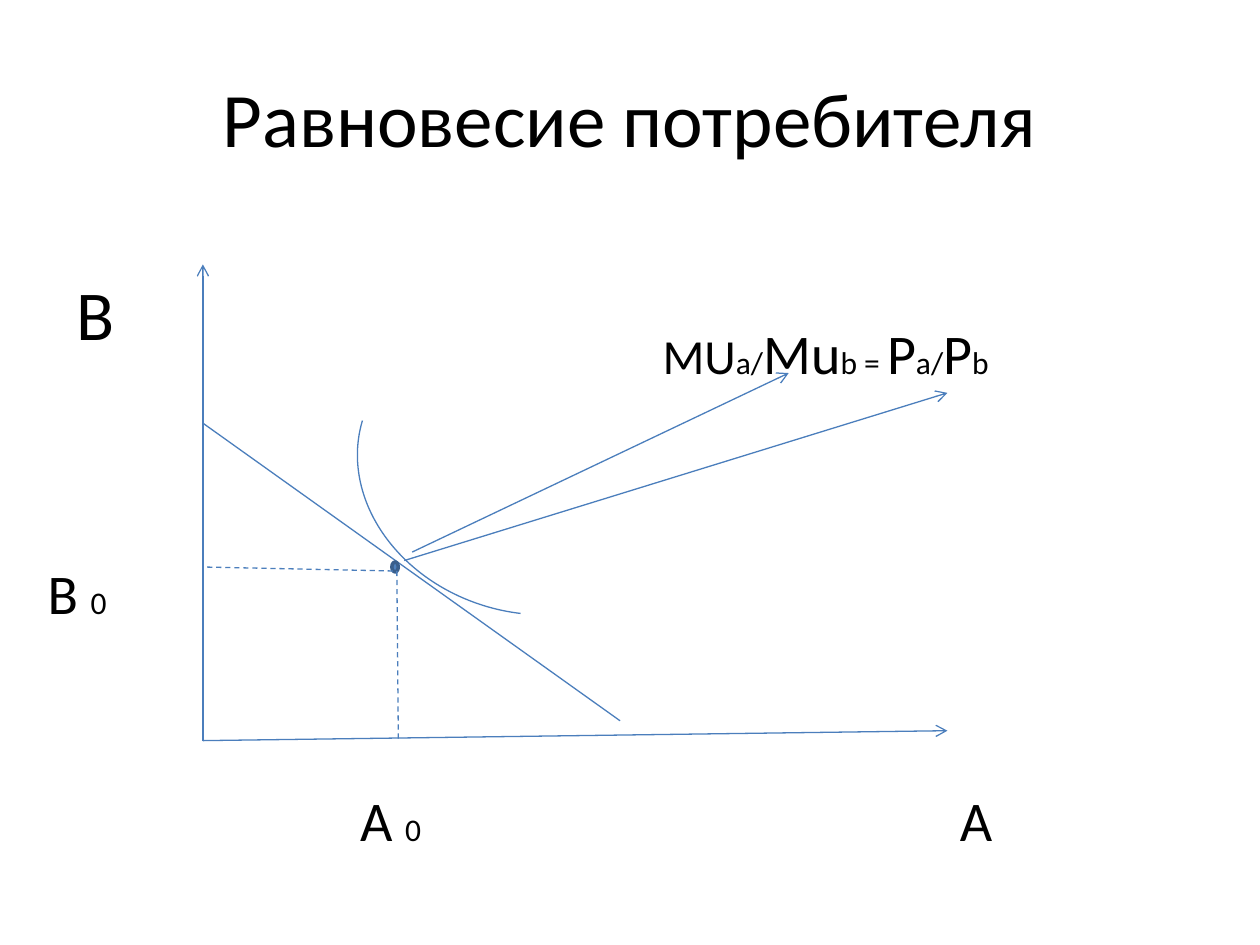
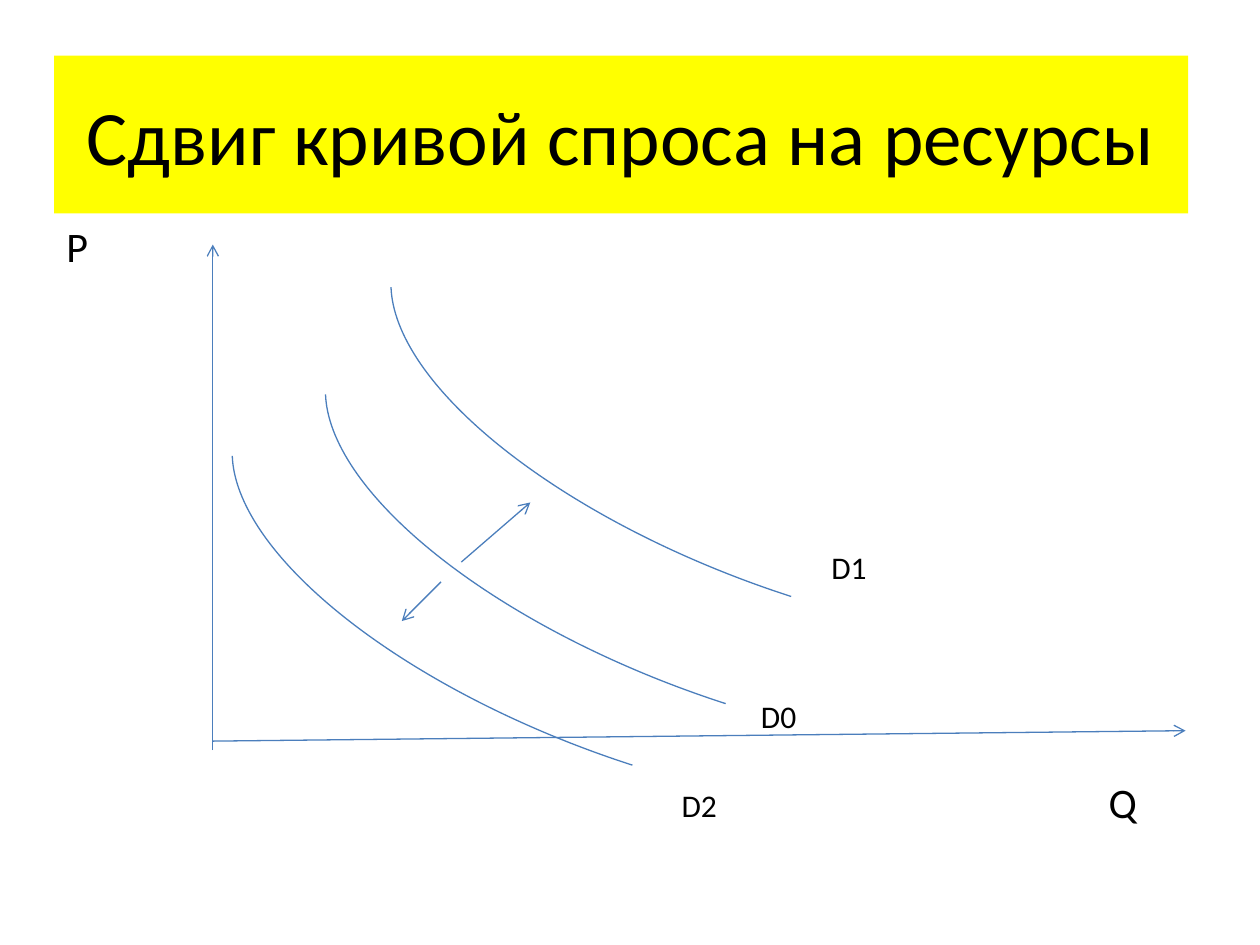
from lxml.etree import SubElement
from pptx import Presentation
from pptx.dml.color import RGBColor
from pptx.enum.dml import MSO_LINE
from pptx.enum.shapes import MSO_CONNECTOR, MSO_SHAPE
from pptx.enum.text import MSO_ANCHOR, MSO_AUTO_SIZE, PP_ALIGN
from pptx.oxml.ns import qn
from pptx.util import Cm, Pt

BLACK = RGBColor(0x00, 0x00, 0x00)
BLUE = RGBColor(0x4B, 0x7E, 0xBC)
FILL = RGBColor(0x4F, 0x81, 0xBD)
EDGE = RGBColor(0x3A, 0x5F, 0x8C)
YELLOW = RGBColor(0xFF, 0xFF, 0x00)
FONT = "Calibri"
THIN = Pt(0.75)


def style(font, size):
    font.name, font.size, font.color.rgb = FONT, Pt(size), BLACK


# Title slide part shared by both slides
def start(deck, text, left, top, band=None):
    slide = deck.slides.add_slide(deck.slide_layouts[5])
    title = slide.shapes.title
    title.left, title.top = Cm(left), Cm(top)
    title.width, title.height = Cm(22.86), Cm(3.18)
    if band is not None:
        title.fill.solid()
        title.fill.fore_color.rgb = band
    frame = title.text_frame
    frame.text = text
    frame.vertical_anchor = MSO_ANCHOR.MIDDLE
    par = frame.paragraphs[0]
    par.alignment = PP_ALIGN.CENTER
    style(par.font, 44)
    return slide


class Graph:
    """Draws in centimetres from the top of the vertical axis."""

    def __init__(self, slide, left, top):
        self.shapes = slide.shapes
        self.left, self.top = left, top

    def at(self, x, y):
        return Cm(self.left + x), Cm(self.top + y)

    def line(self, begin, end, arrow=False, dash=False):
        line = self.shapes.add_connector(
            MSO_CONNECTOR.STRAIGHT, *self.at(*begin), *self.at(*end))
        line.line.color.rgb = BLUE
        line.line.width = THIN
        if dash:
            line.line.dash_style = MSO_LINE.DASH
        props = line.element.spPr
        if arrow:
            SubElement(props.find(qn("a:ln")), qn("a:tailEnd"), type="arrow")
        SubElement(props, qn("a:effectLst"))

    def shape(self, kind, x, y, width, height, color=BLUE, weight=THIN):
        shape = self.shapes.add_shape(
            kind, *self.at(x, y), Cm(width), Cm(height))
        shape.shadow.inherit = False
        shape.line.color.rgb = color
        shape.line.width = weight
        return shape

    def arc(self, x, y, width, height, turn, angles):
        arc = self.shape(MSO_SHAPE.ARC, x, y, width, height)
        arc.fill.background()
        arc.rotation = turn
        arc.adjustments[0], arc.adjustments[1] = angles

    def label(self, x, y, width, height, *parts):
        box = self.shapes.add_textbox(
            *self.at(x, y), Cm(width), Cm(height))
        frame = box.text_frame
        frame.word_wrap = True
        frame.auto_size = MSO_AUTO_SIZE.SHAPE_TO_FIT_TEXT
        par = frame.paragraphs[0]
        style(par.font, parts[0][1])
        for text, size in parts:
            run = par.add_run()
            run.text = text
            if len(parts) > 1:
                style(run.font, size)


# Consumer equilibrium
def balance(slide, left, top):
    graph = Graph(slide, left, top)

    # Axes and budget line
    graph.line((0, 9.6), (0, 0), arrow=True)
    graph.line((0, 9.6), (15.01, 9.4), arrow=True)
    graph.line((0, 3.2), (8.41, 9.2))

    # Tangent point and its projections
    dot = graph.shape(MSO_SHAPE.FLOWCHART_CONNECTOR, 3.81, 6, 0.13, 0.2,
                      EDGE, Pt(2))
    dot.fill.solid()
    dot.fill.fore_color.rgb = FILL
    graph.line((3.83, 6.18), (0, 6.1), dash=True)
    graph.line((3.91, 6.18), (3.94, 9.6), dash=True)

    # Labels
    graph.label(-2.79, 0, 2.01, 1.96, ("В", 40))
    graph.label(15.01, 10.39, 2.39, 1.63, ("А", 32))
    graph.label(-3.38, 5.8, 2.79, 1.63, ("В ", 32), ("0", 18))
    graph.label(2.92, 10.39, 2.59, 1.63, ("А ", 32), ("0", 18))
    graph.label(9.02, 0.97, 10.21, 1.63,
                ("MU", 28), ("a/", 18), ("Mu", 32), ("b = ", 18),
                ("P", 32), ("a/", 18), ("P", 32), ("b", 18))

    # Pointers to the formula and indifference curve
    graph.line((4.22, 5.8), (11.81, 2.19), arrow=True)
    graph.line((4.06, 5.97), (15.01, 2.59), arrow=True)
    graph.arc(3.07, 1.27, 6.91, 5.74, 196.7, (153.43, 0))


# Shift of the demand curve
def shift(slide, left, top):
    graph = Graph(slide, left, top)

    # Axes
    graph.line((0, 10.19), (0, 0), arrow=True)
    graph.line((0, 10.01), (19.61, 9.8), arrow=True)
    graph.label(-3.2, -0.61, 3, 1.27, ("Р", 24))
    graph.label(17.81, 10.59, 3.3, 1.27, ("Q", 24))

    # Demand curves with their names
    curves = [
        ("D1", (3.13, -0.33), (12.22, 5.99), 4.8),
        ("D0", (1.81, 1.83), (10.8, 8.99), 2.39),
        ("D2", (-0.07, 3.07), (9.2, 10.79), 2.79),
    ]
    for name, curve, spot, width in curves:
        graph.arc(*curve, 17.81, 7.34, 200.4, (153.2, 213.59))
        graph.label(*spot, width, 1.02, (name, 18))

    # Directions of the shift
    graph.line((5.01, 6.4), (6.4, 5.2), arrow=True)
    graph.line((4.6, 6.8), (3.81, 7.59), arrow=True)


def main():
    deck = Presentation()
    deck.slide_width, deck.slide_height = Cm(25.4), Cm(19.05)
    balance(start(deck, "Равновесие потребителя", 1.27, 0.76), 4.09, 5.33)
    shift(start(deck, "Сдвиг кривой спроса на ресурсы", 1.09, 1.12, YELLOW),
          4.29, 4.93)
    deck.save("out.pptx")


if __name__ == "__main__":
    main()
